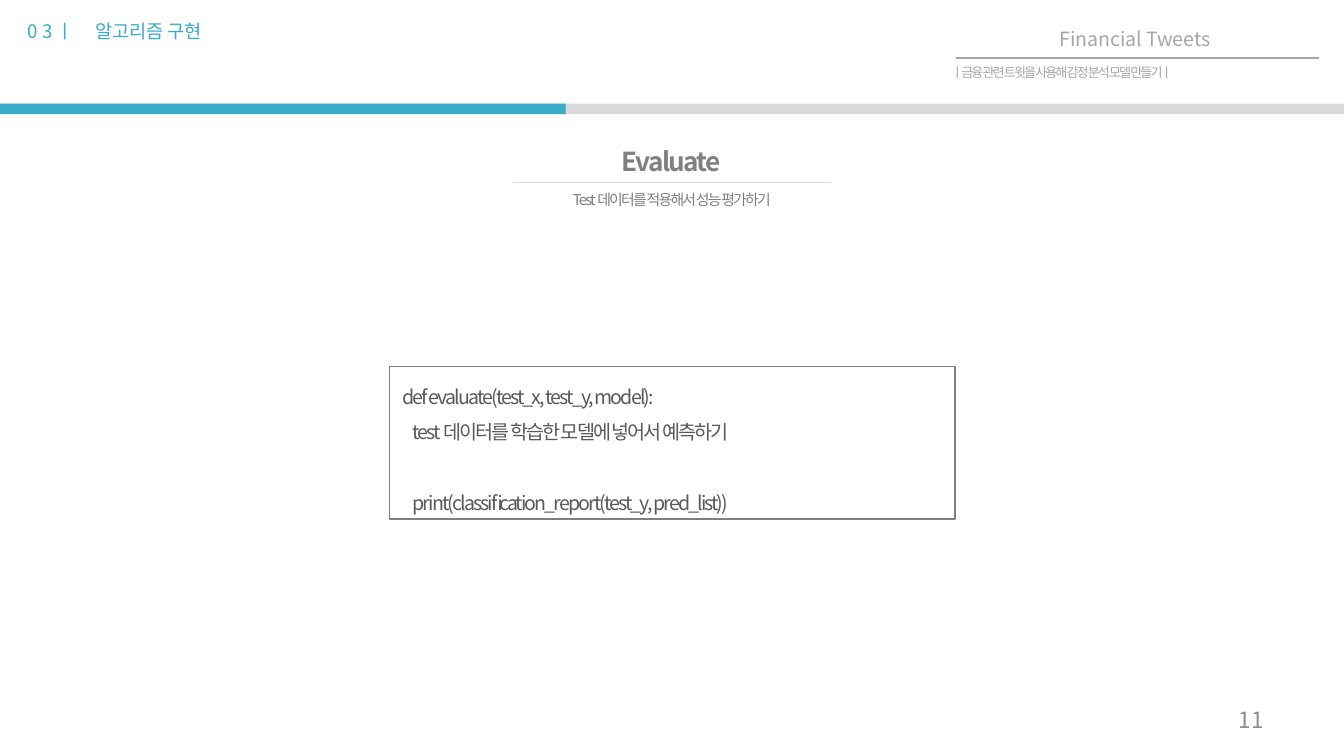
import pptx
import pptx.util
import pptx.dml.color
import pptx.enum.shapes
import pptx.enum.text
import pptx.oxml.ns
from lxml import etree

Cm, Pt = pptx.util.Cm, pptx.util.Pt
ALIGN = pptx.enum.text.PP_ALIGN
ANCHOR = pptx.enum.text.MSO_ANCHOR
RECTANGLE = pptx.enum.shapes.MSO_SHAPE.RECTANGLE
FONT = "Noto Sans CJK KR"
COLORS = {
    "accent": "37ABC8", "rule": "D9D9D9", "heading": "808080",
    "code": "595959", "header": "A6A6A6", "number": "8C8C8C",
}


def color(name):
    return pptx.dml.color.RGBColor.from_string(COLORS[name])


def write(box, lines, size, color_name, align=ALIGN.LEFT, spacing=None, anchor=ANCHOR.TOP):
    """Fill a box with one paragraph per line, all in one style."""
    frame = box.text_frame
    frame.word_wrap = True
    frame.auto_size = pptx.enum.text.MSO_AUTO_SIZE.NONE
    frame.vertical_anchor = anchor
    frame.text = "\n".join(lines)
    for para in frame.paragraphs:
        para.alignment = align
        para.font.size = Pt(size)
        para.font.name = FONT
        para.font.color.rgb = color(color_name)
        props = para.font._element
        etree.SubElement(props, pptx.oxml.ns.qn("a:ea"), typeface=FONT)
        if spacing is not None:
            props.set("spc", str(spacing * 100))
    return frame


deck = pptx.Presentation()
deck.slide_width, deck.slide_height = Cm(25.4), Cm(14.29)
page = deck.slides.add_slide(deck.slide_layouts[5])

# Progress bar: full track, then the part already covered
for width, fill in [(25.4, "rule"), (10.69, "accent")]:
    bar = page.shapes.add_shape(RECTANGLE, 0, Cm(1.96), Cm(width), Cm(0.2))
    bar.shadow.inherit = False
    bar.fill.solid()
    bar.fill.fore_color.rgb = color(fill)
    bar.line.fill.background()

# Rules under the title and the deck name
for left, right, y, stroke in [(9.7, 15.7, 3.45, "rule"), (18.06, 24.92, 1.09, "header")]:
    rule = page.shapes.add_connector(
        pptx.enum.shapes.MSO_CONNECTOR.STRAIGHT, Cm(left), Cm(y), Cm(right), Cm(y))
    rule.line.color.rgb = color(stroke)
    rule.line.width = Pt(1)
    etree.SubElement(rule._element.spPr, pptx.oxml.ns.qn("a:effectLst"))

# Title
title = page.shapes.title
title.left, title.top, title.width, title.height = Cm(10.16), Cm(2.62), Cm(5.05), Cm(0.86)
write(title, ["Evaluate"], 14, "heading", ALIGN.CENTER, -1)
title.text_frame.paragraphs[0].font.bold = True

# Subtitle, deck name, deck description and page number
labels = [
    ("Test 데이터를 적용해서 성능 평가하기", (6.73, 3.48, 11.94, 0.61),
     8, "heading", ALIGN.CENTER, -1, ANCHOR.TOP),
    ("Financial Tweets", (18.06, 0.38, 6.78, 0.74),
     10.5, "header", ALIGN.CENTER, None, ANCHOR.TOP),
    ("ㅣ금융 관련 트윗을 사용해 감정 분석 모델 만들기ㅣ", (17.73, 1.09, 7.59, 0.56),
     7, "header", ALIGN.JUSTIFY, -1, ANCHOR.TOP),
    ("11", (18.21, 13.23, 5.92, 0.76),
     12, "number", ALIGN.RIGHT, None, ANCHOR.MIDDLE),
]
for text, place, size, shade, align, spacing, anchor in labels:
    box = page.shapes.add_textbox(*map(Cm, place))
    write(box, [text], size, shade, align, spacing, anchor)

# Section label, with a tab stop after the divider
section = page.shapes.add_textbox(Cm(0.28), Cm(0.25), Cm(5.82), Cm(0.69))
section_props = section.text_frame.paragraphs[0]._p.get_or_add_pPr()
tabs = etree.SubElement(section_props, pptx.oxml.ns.qn("a:tabLst"))
etree.SubElement(tabs, pptx.oxml.ns.qn("a:tab"), pos=str(Cm(1.15)), algn="l")
write(section, ["0 3 ㅣ\t알고리즘 구현"], 10, "accent")

# Code box
code = page.shapes.add_shape(RECTANGLE, Cm(7.36), Cm(6.93), Cm(10.69), Cm(2.88))
code.shadow.inherit = False
code.fill.background()
code.line.color.rgb = color("heading")
code.line.width = Pt(0.75)
frame = write(code, [
    "def evaluate(test_x, test_y, model):",
    "    test 데이터를 학습한 모델에 넣어서 예측하기",
    "    print(classification_report(test_y, pred_list))",
], 10.5, "code", spacing=-1)
for para in frame.paragraphs:
    para.line_spacing = 1.5
frame.paragraphs[-1].space_before = Pt(19)

deck.save("out.pptx")
